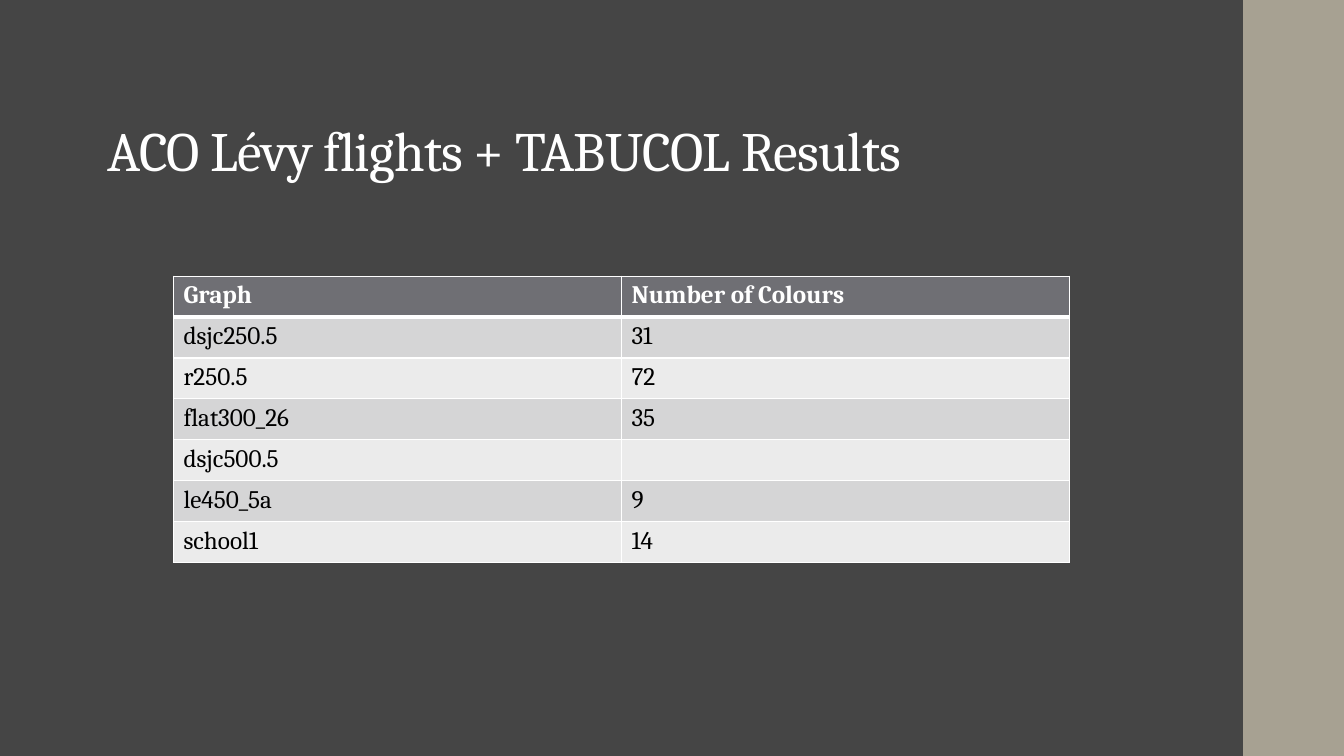
import lxml.etree
import pptx
import pptx.dml.color
import pptx.enum.shapes
import pptx.enum.text
import pptx.oxml.ns
import pptx.util

WIDTH, HEIGHT = pptx.util.Inches(13.33), pptx.util.Inches(7.5)
FONT = "Cambria"
DARK, SAND, WHITE, BLACK = "454545", "A7A192", "FFFFFF", "000000"
HEADER, BANDS = "6F6F74", ("D5D5D6", "EBEBEB")
RESULTS = [
    ("Graph", "Number of Colours"),
    ("dsjc250.5", "31"),
    ("r250.5", "72"),
    ("flat300_26", "35"),
    ("dsjc500.5", ""),
    ("le450_5a", "9"),
    ("school1", "14"),
]


def paint(fill, colour):
    fill.solid()
    fill.fore_color.rgb = pptx.dml.color.RGBColor.from_string(colour)


def write(tf, text, size=18, colour=BLACK, bold=False, line_spacing=None, tracking=None):
    """Put one left-aligned run in a text frame; tracking is in points."""
    p = tf.paragraphs[0]
    p.alignment = pptx.enum.text.PP_ALIGN.LEFT
    p.line_spacing = line_spacing
    if not text:
        p.font.size = pptx.util.Pt(size)
        return
    r = p.add_run()
    r.text = text
    r.font.name, r.font.size, r.font.bold = FONT, pptx.util.Pt(size), bold
    paint(r.font.fill, colour)
    if tracking is not None:
        r.font._element.set("spc", str(round(tracking * 100)))


def set_borders(cell, **widths):
    """Draw white cell edges; widths are points keyed L, R, T, B in that order."""
    tcPr = cell._tc.get_or_add_tcPr()
    for side, width in widths.items():
        ln = lxml.etree.SubElement(tcPr, pptx.oxml.ns.qn(f"a:ln{side}"), w=str(pptx.util.Pt(width)))
        fill = lxml.etree.SubElement(ln, pptx.oxml.ns.qn("a:solidFill"))
        lxml.etree.SubElement(fill, pptx.oxml.ns.qn("a:srgbClr"), val=WHITE)


def add_side_band(s):
    left = round(WIDTH * 0.925)
    sp = s.shapes.add_shape(pptx.enum.shapes.MSO_SHAPE.RECTANGLE, left, 0, WIDTH - left, HEIGHT)
    sp.shadow.inherit = False
    sp.line.fill.background()
    paint(sp.fill, SAND)


def set_title(s, text):
    sp = s.shapes.title
    sp.left, sp.top = pptx.util.Inches(0.97), pptx.util.Inches(0.87)
    sp.width, sp.height = pptx.util.Inches(10.74), pptx.util.Inches(1)
    tf = sp.text_frame
    tf.auto_size = pptx.enum.text.MSO_AUTO_SIZE.NONE
    tf.vertical_anchor = pptx.enum.text.MSO_ANCHOR.BOTTOM
    write(tf, text, size=39.6, colour=WHITE, line_spacing=0.9, tracking=-0.5)


def add_results_table(s, rows):
    width, height = round(WIDTH * 2 / 3), pptx.util.Inches(2.84)
    table = s.shapes.add_table(len(rows), len(rows[0]), pptx.util.Inches(1.72),
                               pptx.util.Inches(2.74), width, height).table
    for i, row in enumerate(rows):
        for j, text in enumerate(row):
            cell = table.cell(i, j)
            set_borders(cell, L=1, R=1, T=3 if i == 1 else 1, B=3 if i == 0 else 1)
            paint(cell.fill, BANDS[(i - 1) % 2] if i else HEADER)
            write(cell.text_frame, text, colour=BLACK if i else WHITE, bold=i == 0)


def main():
    prs = pptx.Presentation()
    prs.slide_width, prs.slide_height = WIDTH, HEIGHT
    s = prs.slides.add_slide(prs.slide_layouts.get_by_name("Title Only"))
    paint(s.background.fill, DARK)
    add_side_band(s)
    set_title(s, "ACO Lévy flights + TABUCOL Results")
    add_results_table(s, RESULTS)
    prs.save("out.pptx")


if __name__ == "__main__":
    main()
